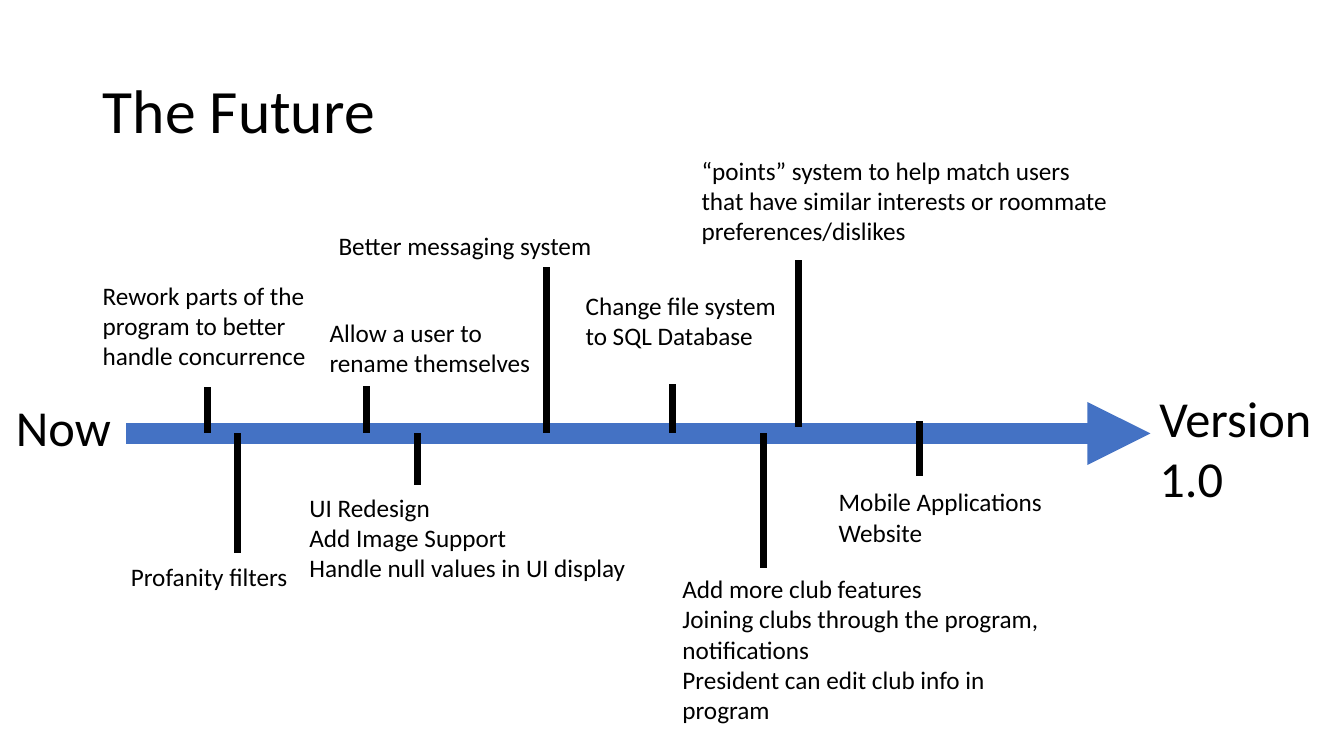
from lxml import etree
from pptx import Presentation
from pptx.dml.color import RGBColor
from pptx.enum.shapes import MSO_CONNECTOR as Line
from pptx.enum.text import MSO_ANCHOR as Anchor, MSO_AUTO_SIZE as Fit, PP_ALIGN as Align
from pptx.oxml.ns import qn
from pptx.util import Inches, Pt

FONT, BLACK, BLUE = "Calibri", "000000", "4472C4"
AXIS = 4.3
TITLE = "The Future"

# left, top, width, height, size, paragraphs
LABELS = [
    (2.97, 4.83, 3.37, 1.01, 18,
     ["UI Redesign", "Add Image Support", "Handle null values in UI display"]),
    (5.71, 2.83, 2.29, 0.71, 18, ["Change file system to SQL Database"]),
    (0.92, 2.73, 2.29, 1.01, 18,
     ["Rework parts of the program to better handle concurrence"]),
    (8.22, 4.78, 2.29, 0.71, 18, ["Mobile Applications", "Website"]),
    (0.06, 3.88, 1.33, 0.71, 36, ["Now"]),
    (11.4, 3.79, 2.29, 1.31, 36, ["Version 1.0"]),
    (6.67, 5.64, 3.84, 1.62, 18,
     ["Add more club features",
      "Joining clubs through the program, notifications",
      "President can edit club info in program"]),
    (3.26, 2.24, 3.84, 0.4, 18, ["Better messaging system"]),
    (3.17, 3.1, 2.29, 0.71, 18, ["Allow a user to rename themselves"]),
    (1.2, 5.52, 2, 0.4, 18, ["Profanity filters"]),
    (6.86, 1.49, 4.28, 1.01, 18,
     ["“points” system to help match users that have similar interests "
      "or roommate preferences/dislikes"]),
]

# x, top, bottom
TICKS = [
    (2.36, AXIS, 5.49), (2.06, 3.84, AXIS), (4.14, AXIS, 4.81),
    (6.67, 3.81, AXIS), (9.12, 4.18, 4.72), (7.57, AXIS, 5.64),
    (5.42, 2.65, AXIS), (3.64, 3.83, AXIS), (7.92, 2.58, 4.24),
]


def color(code):
    return RGBColor.from_string(code)


def write(para, text, size):
    run = para.add_run()
    run.text = text
    run.font.name, run.font.size = FONT, Pt(size)
    run.font.color.rgb = color(BLACK)


def place(shape, *box):
    shape.left, shape.top, shape.width, shape.height = map(Inches, box)


def add_line(slide, x1, y1, x2, y2, code, width):
    line = slide.shapes.add_connector(Line.STRAIGHT, *map(Inches, (x1, y1, x2, y2)))
    line.line.color.rgb = color(code)
    line.line.width = Pt(width)
    etree.SubElement(line._element.spPr, qn("a:effectLst"))
    return line


def add_label(slide, left, top, width, height, size, texts):
    box = slide.shapes.add_textbox(*map(Inches, (left, top, width, height)))
    frame = box.text_frame
    frame.word_wrap = True
    frame.auto_size = Fit.SHAPE_TO_FIT_TEXT
    for i, text in enumerate(texts):
        para = frame.add_paragraph() if i else frame.paragraphs[0]
        write(para, text, size)


def main():
    deck = Presentation()
    deck.slide_width, deck.slide_height = Inches(13.33), Inches(7.5)
    slide = deck.slides.add_slide(deck.slide_layouts[5])

    title = slide.shapes.title
    place(title, 0.92, 0.4, 11.5, 1.45)
    title.text_frame.vertical_anchor = Anchor.MIDDLE
    para = title.text_frame.paragraphs[0]
    para.alignment, para.line_spacing = Align.LEFT, 0.9
    write(para, TITLE, 44)

    arrow = add_line(slide, 1.25, AXIS, 11.41, AXIS, BLUE, 15)
    etree.SubElement(arrow.line._get_or_add_ln(), qn("a:tailEnd"), type="triangle")
    for x, top, bottom in TICKS:
        add_line(slide, x, top, x, bottom, BLACK, 5)
    for label in LABELS:
        add_label(slide, *label)

    deck.save("out.pptx")


if __name__ == "__main__":
    main()
